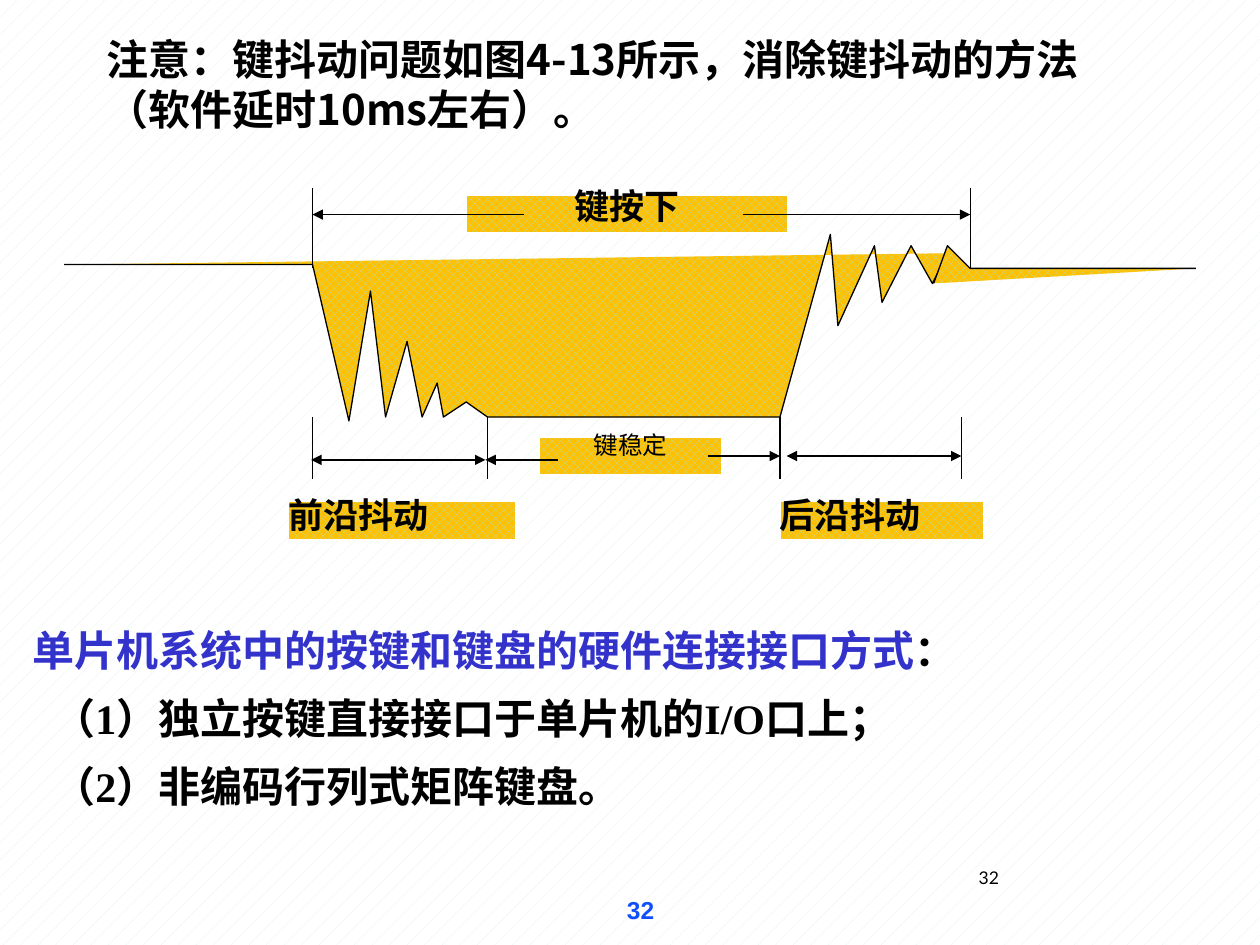
"""Build the key-bounce slide: timing diagram, title and interface list."""
from dataclasses import dataclass

import pptx
import pptx.dml.color
import pptx.enum.dml
import pptx.enum.shapes
import pptx.enum.text
import pptx.oxml
import pptx.oxml.ns
import pptx.util
from pptx.util import Pt

ALIGN = pptx.enum.text.PP_ALIGN
ANCHOR = pptx.enum.text.MSO_ANCHOR
PATTERN = pptx.enum.dml.MSO_PATTERN
BLACK, WHITE, MINT, AMBER = "000000", "FFFFFF", "AAE2CA", "FFC000"
CJK, SERIF = "Noto Sans CJK SC", "Times New Roman"
FALL, STEADY, RISE, SETTLE, RELEASE = 178.6, 278.6, 445.7, 549.4, 554.4
LOW = 238.3


@dataclass
class Run:
    text: str
    size: float
    font: str = SERIF
    color: str = BLACK
    bold: bool = True


@dataclass
class Line:
    runs: list[Run]
    align: ALIGN = ALIGN.LEFT
    spacing: float = 1.0
    indent: float = 0


@dataclass
class Box:
    left: float
    top: float
    width: float
    height: float
    lines: list[Line]
    anchor: ANCHOR = ANCHOR.TOP
    wrap: bool = True


@dataclass
class Stroke:
    x1: float
    y1: float
    x2: float
    y2: float
    head: bool = False
    tail: bool = False


TEXTS = [
    Box(54, 23.8, 604, 48.2, [Line([Run(
        "注意：键抖动问题如图4-13所示，消除键抖动的方法（软件延时10ms左右）。", 24, CJK)])],
        ANCHOR.MIDDLE),
    Box(11.5, 343.4, 702.7, 181.4, [
        Line([Run("单片机系统中的按键和键盘的硬件连接接口方式", 24, color="3333CC"),
              Run("：", 24)], spacing=1.35),
        Line([Run("（1）独立按键直接接口于单片机的I/O口上；", 24)], spacing=1.35, indent=12),
        Line([Run("（2）非编码行列式矩阵键盘。", 24)], spacing=1.35, indent=12)]),
    Box(552.2, 491.8, 167.8, 36, [Line([Run("32", 10, "Lato", bold=False)])]),
    Box(252, 501.8, 228.2, 36, [Line([Run("32", 14, "Arial", "114FFB")], ALIGN.CENTER)],
        ANCHOR.MIDDLE, False),
]
LABELS = [
    Box(308.2, 249.8, 104.4, 21.6,
        [Line([Run("键稳定", 14, bold=False)], ALIGN.CENTER, 0.72)]),
    Box(266.4, 111.6, 183.6, 21.6, [Line([Run("键按下", 20)], ALIGN.CENTER, 0.72)]),
    Box(445.7, 286.6, 116.6, 21.6, [Line([Run("后沿抖动", 20)], ALIGN.JUSTIFY, 0.8)]),
    Box(164.9, 286.6, 129.6, 21.6, [Line([Run("前沿抖动", 20)], ALIGN.JUSTIFY, 0.8)]),
]
WAVES = [
    [(36.7, 151.2), (FALL, 151.2), (199.4, 240.5), (211.7, 166.3), (220.3, LOW),
     (232.6, 195.1), (241.2, LOW), (249.8, 218.9), (253.4, LOW), (266.4, 229.7),
     (STEADY, LOW), (RISE, LOW), (474.5, 133.9), (478.8, 186.1), (499.7, 140.4),
     (504, 172.8), (520.6, 140.4), (532.8, 162), (541.4, 144.7)],
    [(533.5, 162), (541.4, 140.4), (RELEASE, 153.4), (683.3, 153.4)],
]
GUIDES = [Stroke(x, 107.3, x, 153.4) for x in (FALL, RELEASE)] + [
    Stroke(x, LOW, x, 273.6) for x in (FALL, STEADY, RISE, SETTLE)]
ARROWS = [
    Stroke(299.5, 122.6, FALL, 122.6, tail=True),
    Stroke(424.8, 122.6, RELEASE, 122.6, tail=True),
    Stroke(404.6, 260.6, RISE, 260.6, tail=True),
    Stroke(319, 262.8, 277.4, 262.8, tail=True),
    Stroke(177.8, 262.8, 277.4, 262.8, head=True, tail=True),
    Stroke(449.5, 260.6, SETTLE, 260.6, head=True, tail=True),
]


def color(value: str) -> pptx.dml.color.RGBColor:
    return pptx.dml.color.RGBColor.from_string(value)


def apply(target, values: dict) -> None:
    for name, value in values.items():
        setattr(target, name, value)


def set_pattern(fill, pattern, front: str, back: str) -> None:
    fill.patterned()
    fill.pattern = pattern
    fill.fore_color.rgb = color(front)
    fill.back_color.rgb = color(back)


def set_line(line, value: str) -> None:
    line.color.rgb = color(value)
    line.width = Pt(0.75)


def write(shape, box: Box, inset_x: float, inset_y: float) -> None:
    frame = shape.text_frame
    apply(frame, {"word_wrap": box.wrap, "vertical_anchor": box.anchor,
                  "margin_left": Pt(inset_x), "margin_right": Pt(inset_x),
                  "margin_top": Pt(inset_y), "margin_bottom": Pt(inset_y)})
    for index, line in enumerate(box.lines):
        paragraph = frame.add_paragraph() if index else frame.paragraphs[0]
        apply(paragraph, {"alignment": line.align, "line_spacing": line.spacing})
        if line.indent:
            paragraph._p.get_or_add_pPr().set("marL", str(Pt(line.indent)))
        for item in line.runs:
            run = paragraph.add_run()
            run.text = item.text
            apply(run.font, {"size": Pt(item.size), "name": item.font, "bold": item.bold})
            run.font.color.rgb = color(item.color)
            east_asian = pptx.oxml.parse_xml(
                f'<a:ea {pptx.oxml.ns.nsdecls("a")} typeface="{CJK}"/>')
            run._r.get_or_add_rPr().append(east_asian)


def add_text(slide, box: Box) -> None:
    shape = slide.shapes.add_textbox(*map(Pt, (box.left, box.top, box.width, box.height)))
    write(shape, box, 7.2, 3.6)


def add_label(slide, box: Box) -> None:
    shape = slide.shapes.add_shape(
        pptx.enum.shapes.MSO_SHAPE.RECTANGLE,
        *map(Pt, (box.left, box.top, box.width, box.height)))
    shape.shadow.inherit = False
    set_pattern(shape.fill, PATTERN.PERCENT_50, MINT, AMBER)
    set_line(shape.line, WHITE)
    write(shape, box, 0, 0)


def add_wave(slide, points: list[tuple[float, float]]) -> None:
    start, *rest = [(Pt(x), Pt(y)) for x, y in points]
    builder = slide.shapes.build_freeform(*start)
    builder.add_line_segments(rest, close=False)
    shape = builder.convert_to_shape()
    shape.shadow.inherit = False
    set_pattern(shape.fill, PATTERN.PERCENT_50, MINT, AMBER)
    set_line(shape.line, BLACK)


def add_stroke(slide, stroke: Stroke) -> None:
    connector = slide.shapes.add_connector(
        pptx.enum.shapes.MSO_CONNECTOR.STRAIGHT,
        *map(Pt, (stroke.x1, stroke.y1, stroke.x2, stroke.y2)))
    set_line(connector.line, BLACK)
    namespace = pptx.oxml.ns.nsdecls("a")
    for tag, wanted in (("headEnd", stroke.head), ("tailEnd", stroke.tail)):
        if wanted:
            connector.line._get_or_add_ln().append(
                pptx.oxml.parse_xml(f'<a:{tag} {namespace} type="triangle"/>'))
    connector._element.spPr.append(pptx.oxml.parse_xml(f"<a:effectLst {namespace}/>"))


def main() -> None:
    presentation = pptx.Presentation()
    apply(presentation, {"slide_width": Pt(720), "slide_height": Pt(540)})
    slide = presentation.slides.add_slide(presentation.slide_layouts[6])
    set_pattern(slide.background.fill, PATTERN.PERCENT_5, "DDF3EA", WHITE)
    for draw, items in ((add_text, TEXTS), (add_wave, WAVES), (add_stroke, GUIDES),
                        (add_label, LABELS), (add_stroke, ARROWS)):
        for item in items:
            draw(slide, item)
    presentation.save("out.pptx")


if __name__ == "__main__":
    main()
